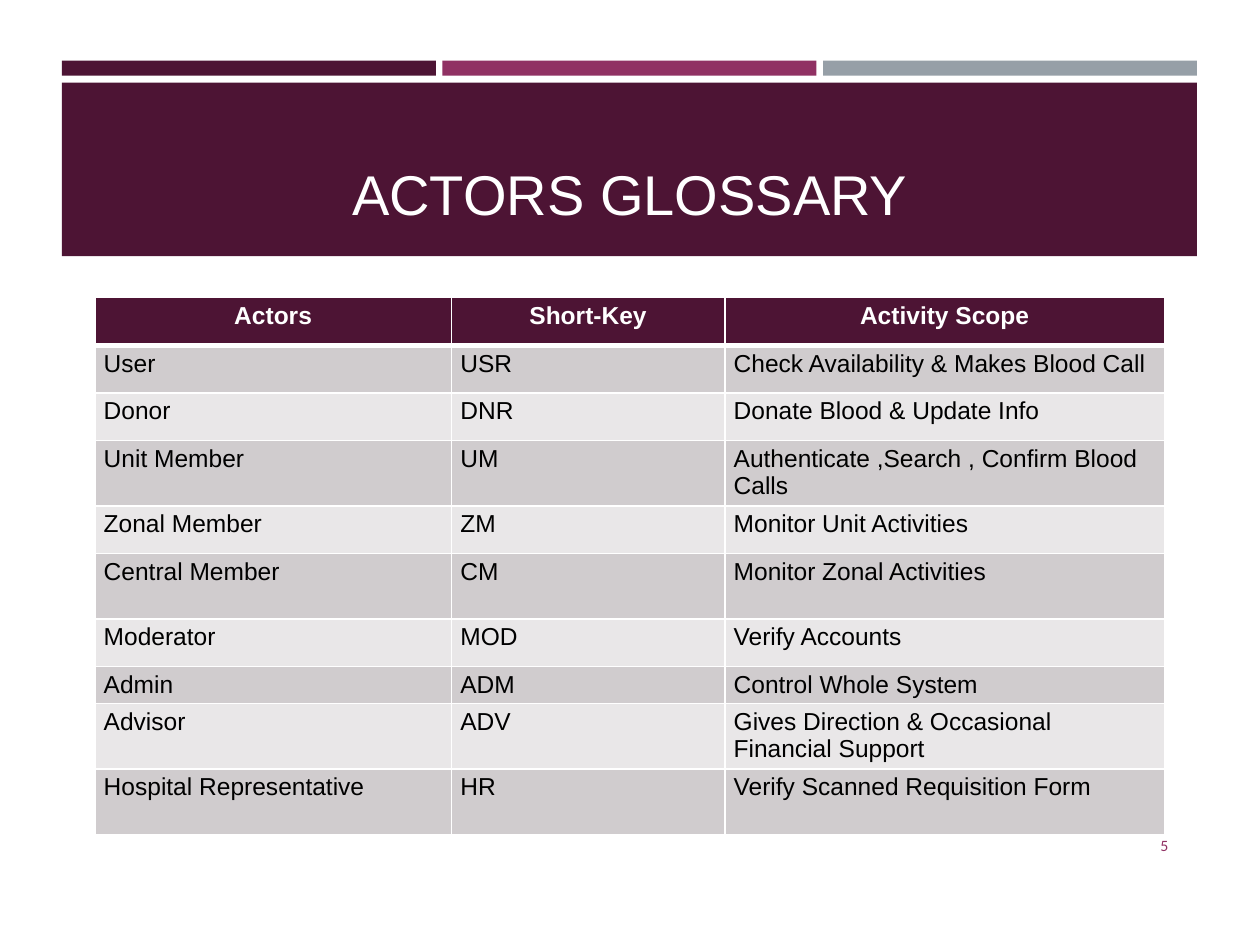
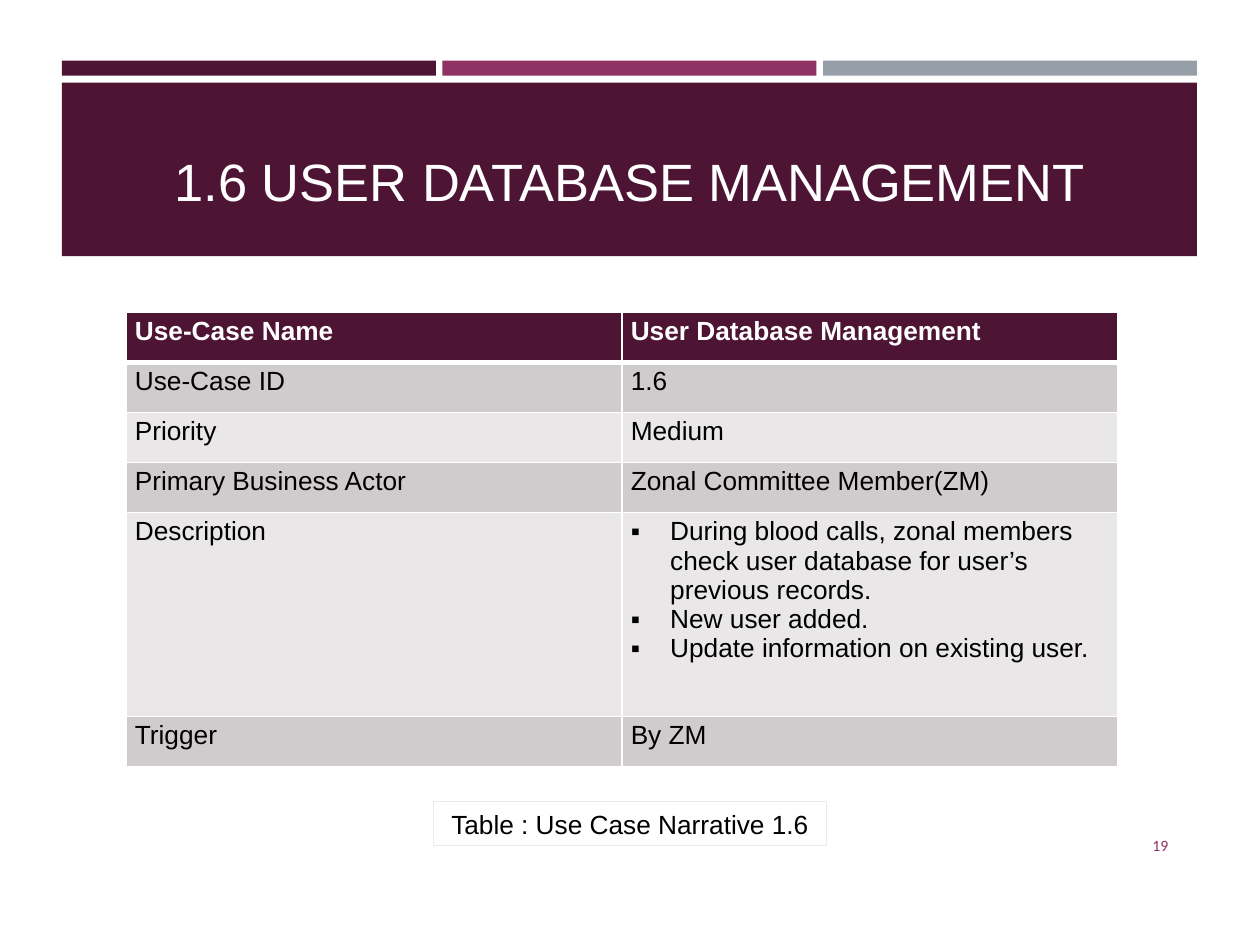
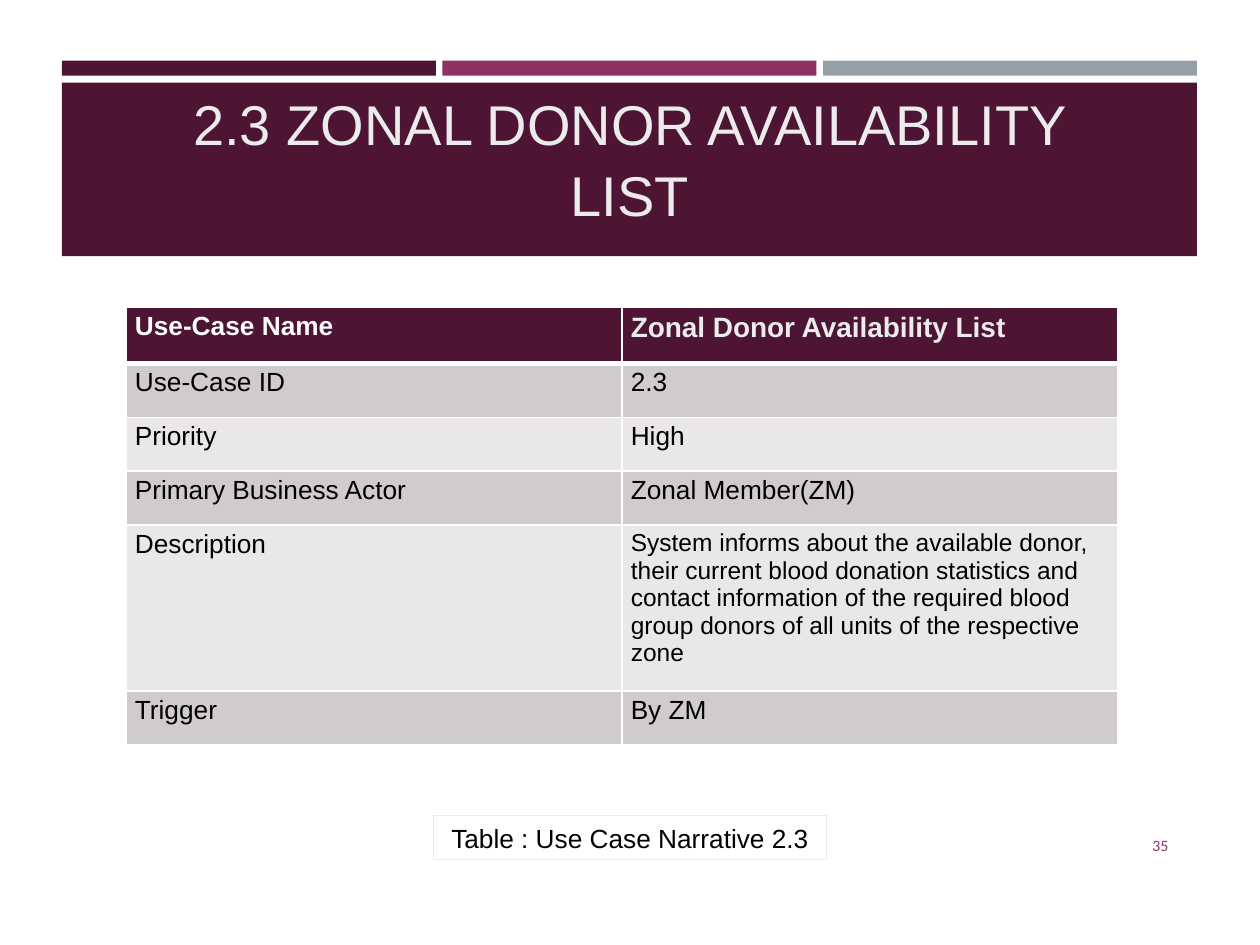
import pptx
import pptx.dml.color
import pptx.enum.shapes
import pptx.enum.text
import pptx.oxml.ns
import pptx.util
from lxml import etree

Pt = pptx.util.Pt
RGBColor = pptx.dml.color.RGBColor
ALIGN = pptx.enum.text.PP_ALIGN
ANCHOR = pptx.enum.text.MSO_ANCHOR
RECTANGLE = pptx.enum.shapes.MSO_SHAPE.RECTANGLE
qn = pptx.oxml.ns.qn

# Shared colours and fonts
PLUM = RGBColor(0x4D, 0x14, 0x34)
MAGENTA = RGBColor(0x90, 0x31, 0x63)
SLATE = RGBColor(0x96, 0x9F, 0xA7)
ROW_DARK = RGBColor(0xD0, 0xCC, 0xCE)
ROW_LIGHT = RGBColor(0xE9, 0xE7, 0xE8)
PALE = RGBColor(0xEB, 0xEB, 0xEB)
WHITE = RGBColor(0xFF, 0xFF, 0xFF)
BLACK = RGBColor(0, 0, 0)
TEXT_FONT = "Arial"
NUMBER_FONT = "Calibri"

# Shared header geometry, in points
BAND_LEFT, BAND_WIDTH, STRIPE_GAP = 35.4, 648.6, 3.8

GLOSSARY = [
    ("Actors", "Short-Key", "Activity Scope"),
    ("User", "USR", "Check Availability & Makes Blood Call"),
    ("Donor", "DNR", "Donate Blood & Update Info"),
    ("Unit Member", "UM", "Authenticate ,Search , Confirm Blood Calls"),
    ("Zonal Member", "ZM", "Monitor Unit Activities"),
    ("Central Member", "CM", "Monitor Zonal Activities"),
    ("Moderator", "MOD", "Verify Accounts"),
    ("Admin", "ADM", "Control Whole System"),
    ("Advisor", "ADV", "Gives Direction & Occasional Financial Support"),
    ("Hospital Representative", "HR", "Verify Scanned Requisition Form"),
]
USE_CASE_FIELDS = ("Use-Case Name", "Use-Case ID", "Priority",
                   "Primary Business Actor", "Description", "Trigger")
DATABASE_CASE = (
    "User Database Management", "1.6", "Medium", "Zonal Committee Member(ZM)",
    ["During blood calls, zonal members check user database for user’s previous records.",
     "New user added.",
     "Update information on existing user."],
    "By ZM")
DONOR_CASE = (
    "Zonal Donor Availability List", "2.3", "High", "Zonal Member(ZM)",
    "System informs about the available donor, their current blood donation "
    "statistics and contact information of the required blood group donors of "
    "all units of the respective zone",
    "By ZM")


def add_text(paragraph, text, size, color, font=TEXT_FONT, bold=False, align=ALIGN.LEFT):
    paragraph.alignment = align
    run = paragraph.add_run()
    run.text = text
    run.font.name = font
    run.font.size = Pt(size)
    run.font.bold = bold
    run.font.color.rgb = color


def add_bands(slide):
    """Draw the header bands and place them on the slide's layout."""
    stripe = (BAND_WIDTH - 2 * STRIPE_GAP) / 3
    bands = [(BAND_LEFT + i * (stripe + STRIPE_GAP), 34.7, stripe, 8.5, color)
             for i, color in enumerate((PLUM, MAGENTA, SLATE))]
    bands.append((BAND_LEFT, 47.3, BAND_WIDTH, 99.1, PLUM))
    for number, (left, top, width, height, color) in enumerate(bands):
        band = slide.shapes.add_shape(RECTANGLE, Pt(left), Pt(top), Pt(width), Pt(height))
        band.shadow.inherit = False
        band.fill.solid()
        band.fill.fore_color.rgb = color
        band.line.fill.background()
        band.element.nvSpPr.cNvPr.set("id", str(100 + number))
        slide.slide_layout.shapes.element.append(band.element)


def add_title(slide, text, top, height, size=32, color=WHITE):
    title = slide.shapes.title
    title.left, title.top, title.width, title.height = Pt(72), Pt(top), Pt(576), Pt(height)
    frame = title.text_frame
    frame.auto_size = pptx.enum.text.MSO_AUTO_SIZE.NONE
    frame.vertical_anchor = ANCHOR.BOTTOM
    frame.paragraphs[0].line_spacing = 1.05
    add_text(frame.paragraphs[0], text, size, color, align=ALIGN.CENTER)


def add_page_number(slide, number):
    box = slide.shapes.add_textbox(Pt(614.2), Pt(468.7), Pt(60.5), Pt(28.8))
    box.text_frame.word_wrap = True
    box.text_frame.vertical_anchor = ANCHOR.MIDDLE
    add_text(box.text_frame.paragraphs[0], str(number), 9, MAGENTA, NUMBER_FONT,
             align=ALIGN.RIGHT)


def add_caption(slide, text, top):
    caption = slide.shapes.add_shape(RECTANGLE, Pt(247.7), Pt(top), Pt(224.6), Pt(25.4))
    caption.shadow.inherit = False
    caption.fill.background()
    caption.line.color.rgb = PALE
    caption.line.width = Pt(0.75)
    caption.text_frame.word_wrap = False
    caption.text_frame.vertical_anchor = ANCHOR.MIDDLE
    add_text(caption.text_frame.paragraphs[0], text, 15, BLACK, align=ALIGN.CENTER)


def set_borders(cell, row):
    """White rules, with a heavier one below the header row."""
    widths = {"lnL": 1, "lnR": 1, "lnT": 3 if row == 1 else 1, "lnB": 3 if row == 0 else 1}
    properties = cell._tc.get_or_add_tcPr()
    for side, width in widths.items():
        line = etree.SubElement(properties, qn("a:" + side), w=str(Pt(width)))
        fill = etree.SubElement(line, qn("a:solidFill"))
        etree.SubElement(fill, qn("a:srgbClr"), val=str(WHITE))


def set_bullet(paragraph):
    properties = paragraph._p.get_or_add_pPr()
    properties.set("marL", str(Pt(22.5)))
    properties.set("indent", str(Pt(-22.5)))
    etree.SubElement(properties, qn("a:buFont"), typeface=TEXT_FONT)
    etree.SubElement(properties, qn("a:buChar"), char="▪")


def fill_cell(cell, row, content, style):
    """Format one cell; a list as content becomes bullets."""
    set_borders(cell, row)
    cell.margin_left = cell.margin_right = Pt(5.1)
    cell.margin_top = cell.margin_bottom = Pt(2.6)
    cell.fill.solid()
    cell.fill.fore_color.rgb = PLUM if row == 0 else ROW_DARK if row % 2 else ROW_LIGHT
    bulleted = isinstance(content, list)
    frame = cell.text_frame
    for i, text in enumerate(content if bulleted else [content]):
        paragraph = frame.add_paragraph() if i else frame.paragraphs[0]
        if bulleted:
            set_bullet(paragraph)
        add_text(paragraph, text, **style)


def add_grid(slide, left, top, widths, heights, rows, size,
             header_align=ALIGN.LEFT, exceptions=None):
    """Add a banded table; exceptions maps (row, column) to text settings."""
    table = slide.shapes.add_table(len(rows), len(widths), Pt(left), Pt(top),
                                   Pt(sum(widths)), Pt(sum(heights))).table
    for column, width in zip(table.columns, widths):
        column.width = Pt(width)
    for table_row, height in zip(table.rows, heights):
        table_row.height = Pt(height)
    header = {"size": size, "color": WHITE, "bold": True, "align": header_align}
    body = {"size": size, "color": BLACK}
    for r, contents in enumerate(rows):
        for c, content in enumerate(contents):
            style = {**(body if r else header), **(exceptions or {}).get((r, c), {})}
            fill_cell(table.cell(r, c), r, content, style)


def add_use_case(slide, top, heights, case, exceptions=None):
    add_grid(slide, 72, top, [283.4, 283.4], heights,
             list(zip(USE_CASE_FIELDS, case)), 15, exceptions=exceptions)


def main():
    deck = pptx.Presentation()
    deck.slide_width, deck.slide_height = Pt(720), Pt(540)
    title_only = deck.slide_layouts[5]

    # Actors glossary
    glossary = deck.slides.add_slide(title_only)
    add_bands(glossary)
    add_title(glossary, "ACTORS GLOSSARY", 77.8, 55.4)
    normal, tall, low = 27.2, 37.5, 21
    add_grid(glossary, 54.2, 170.1, [203.8, 156.2, 251.3],
             [normal, normal, normal, tall, normal, tall, normal, low, tall, tall],
             GLOSSARY, 14, header_align=ALIGN.CENTER)
    add_page_number(glossary, 5)

    # Use case 1.6
    database = deck.slides.add_slide(title_only)
    add_title(database, "1.6 USER DATABASE MANAGEMENT", 72, 52.6, size=30)
    add_use_case(database, 178.7, [28.6] * 4 + [116.5, 28.6], DATABASE_CASE)
    add_page_number(database, 19)
    add_caption(database, "Table : Use Case Narrative 1.6", 457.9)

    # Use case 2.3
    donors = deck.slides.add_slide(title_only)
    add_title(donors, "2.3 ZONAL DONOR AVAILABILITY LIST", 48, 85.7, color=PALE)
    add_use_case(donors, 175.8, [32] + [30.7] * 3 + [95, 30.7], DONOR_CASE,
                 exceptions={(0, 1): {"size": 16, "color": PALE}, (4, 1): {"size": 14}})
    add_page_number(donors, 35)
    add_caption(donors, "Table : Use Case Narrative 2.3", 466)

    deck.save("out.pptx")


if __name__ == "__main__":
    main()
